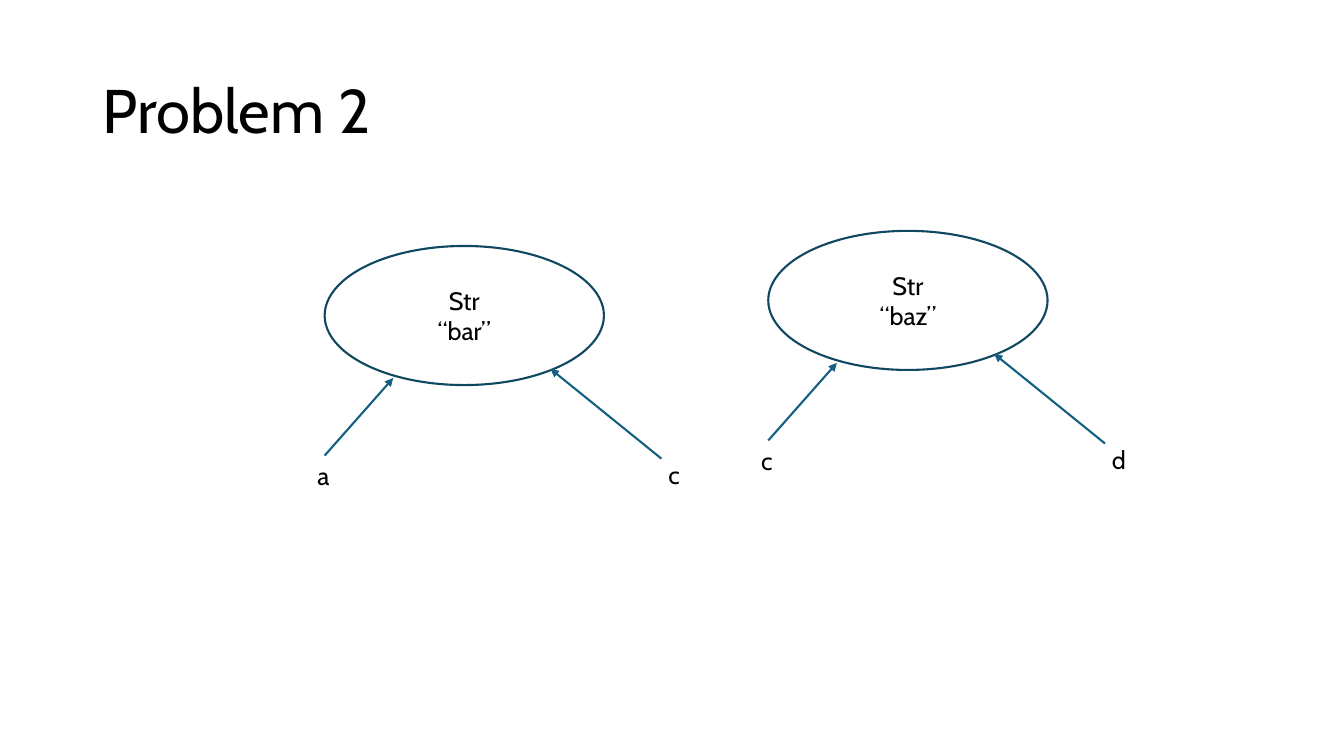
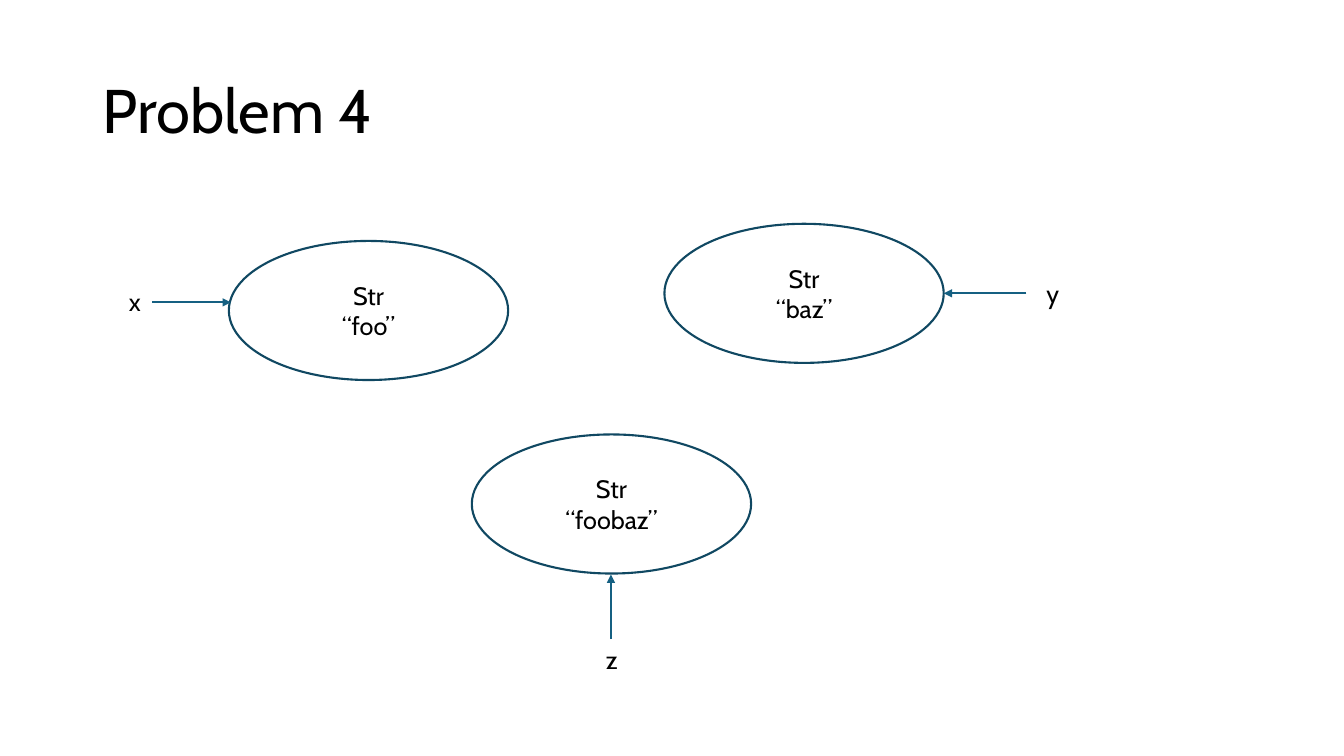
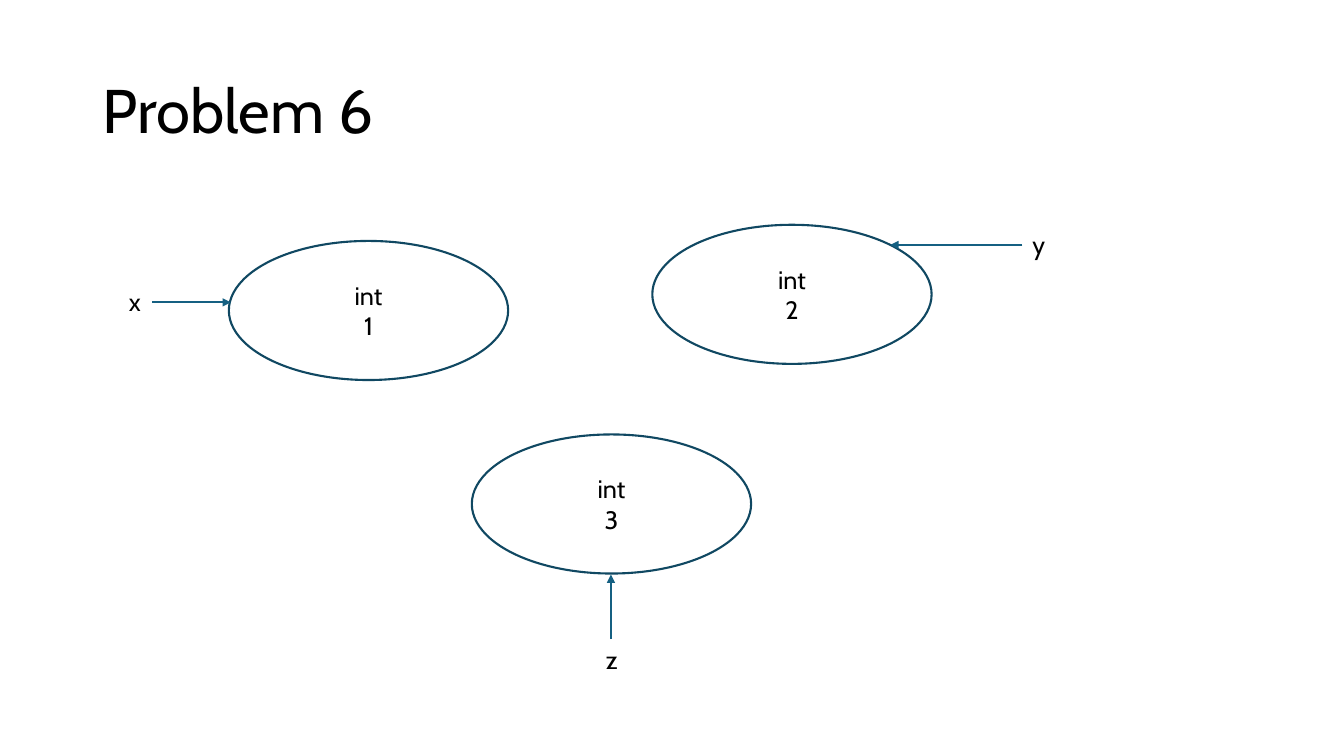
from lxml import etree
from pptx import Presentation
from pptx.dml.color import RGBColor
from pptx.enum.shapes import MSO_CONNECTOR, MSO_SHAPE
from pptx.enum.text import MSO_ANCHOR, PP_ALIGN
from pptx.oxml.ns import qn
from pptx.util import Inches, Pt

LEFT, CENTER = PP_ALIGN.LEFT, PP_ALIGN.CENTER
TOP, MIDDLE = MSO_ANCHOR.TOP, MSO_ANCHOR.MIDDLE
STRAIGHT, OVAL = MSO_CONNECTOR.STRAIGHT, MSO_SHAPE.OVAL

FONT = "Cabin"
BLACK, WHITE, OUTLINE, ARROW = "000000", "FFFFFF", "104862", "156082"
TITLE_BOX = (0.92, 0.4, 11.5, 1.45)
OBJECT_SIZE = (2.77, 1.38)
LABEL_SIZE = (0.32, 0.4)
LINE_WIDTH = 1.5

# Offsets from the object's top left corner: label corner, arrow start, arrow tip
POINTERS = {
    "lower left": ((-0.17, 2.08), (0, 2.08), (0.68, 1.31)),
    "lower right": ((3.31, 2.07), (3.34, 2.11), (2.24, 1.22)),
    "left": ((-1.09, 0.4), (-0.76, 0.61), (0.02, 0.61)),
    "right": ((3.69, 0.49), (3.59, 0.69), (2.77, 0.69)),
    "upper right": ((3.67, 0), (3.67, 0.2), (2.36, 0.2)),
    "below": ((1.23, 2.03), (1.38, 2.03), (1.38, 1.39)),
}

# Title, then objects: type, value, corner, variables by pointer position
PROBLEMS = [
    ("Problem 2", [
        ("Str", "“bar”", (3.22, 2.44), {"lower left": "a", "lower right": "c"}),
        ("Str", "“baz”", (7.62, 2.29), {"lower left": "c", "lower right": "d"}),
    ]),
    ("Problem 4", [
        ("Str", "“foo”", (2.27, 2.39), {"left": "x"}),
        ("Str", "“baz”", (6.59, 2.22), {"right": "y"}),
        ("Str", "“foobaz”", (4.68, 4.31), {"below": "z"}),
    ]),
    ("Problem 6", [
        ("int", "1", (2.27, 2.39), {"left": "x"}),
        ("int", "2", (6.47, 2.23), {"upper right": "y"}),
        ("int", "3", (4.68, 4.31), {"below": "z"}),
    ]),
]


def rgb(color):
    return RGBColor.from_string(color)


def inches(*lengths):
    return [Inches(length) for length in lengths]


def write(shape, *lines, size=18, color=BLACK, align=LEFT, anchor=TOP,
          wrap=True, spacing=None):
    """Fill a shape with one paragraph per line."""
    frame = shape.text_frame
    frame.text = "\n".join(lines)
    frame.word_wrap = wrap
    frame.vertical_anchor = anchor
    for paragraph in frame.paragraphs:
        paragraph.alignment = align
        paragraph.line_spacing = spacing
        for run in paragraph.runs:
            run.font.name = FONT
            run.font.size = Pt(size)
            run.font.color.rgb = rgb(color)


def stroke(line, color):
    line.color.rgb = rgb(color)
    line.width = Pt(LINE_WIDTH)


def add_title(slide, title):
    heading = slide.shapes.title
    heading.left, heading.top, heading.width, heading.height = inches(*TITLE_BOX)
    write(heading, title, size=44, anchor=MIDDLE, spacing=0.9)


def add_object(slide, kind, value, corner):
    oval = slide.shapes.add_shape(OVAL, *inches(*corner, *OBJECT_SIZE))
    oval.shadow.inherit = False
    oval.fill.solid()
    oval.fill.fore_color.rgb = rgb(WHITE)
    stroke(oval.line, OUTLINE)
    write(oval, kind, value, align=CENTER, anchor=MIDDLE)


def add_pointer(slide, variable, corner, position):
    """Place a variable's name and its arrow to the object at corner."""
    label_at, start, tip = [
        (corner[0] + dx, corner[1] + dy) for dx, dy in POINTERS[position]
    ]
    label = slide.shapes.add_textbox(*inches(*label_at, *LABEL_SIZE))
    write(label, variable, wrap=False)

    arrow = slide.shapes.add_connector(STRAIGHT, *inches(*start, *tip))
    stroke(arrow.line, ARROW)
    outline = arrow.line._get_or_add_ln()
    etree.SubElement(outline, qn("a:tailEnd"), type="triangle")
    etree.SubElement(arrow._element.spPr, qn("a:effectLst"))


def main():
    deck = Presentation()
    deck.slide_width, deck.slide_height = inches(13.33, 7.5)
    title_only = deck.slide_layouts[5]
    for title, objects in PROBLEMS:
        slide = deck.slides.add_slide(title_only)
        add_title(slide, title)
        for kind, value, corner, variables in objects:
            add_object(slide, kind, value, corner)
            for position, variable in variables.items():
                add_pointer(slide, variable, corner, position)
    deck.save("out.pptx")


if __name__ == "__main__":
    main()
